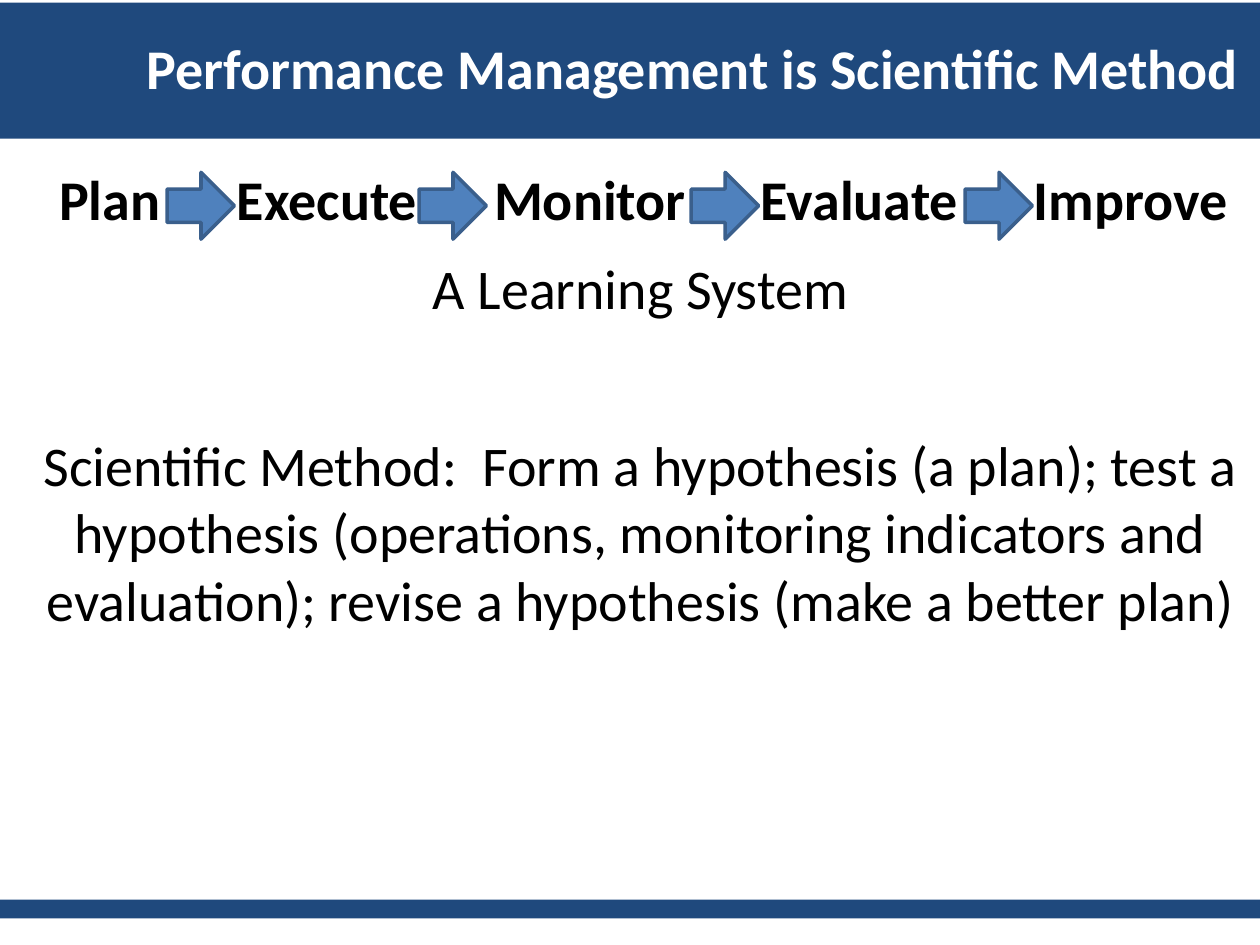
"""Build the slide that sets performance management beside the scientific method."""
from lxml.etree import SubElement
from pptx import Presentation
from pptx.dml.color import RGBColor
from pptx.enum.shapes import MSO_SHAPE
from pptx.enum.text import MSO_ANCHOR, PP_ALIGN
from pptx.oxml.ns import qn
from pptx.util import Pt

NAVY = RGBColor(0x1F, 0x49, 0x7D)
BLUE = RGBColor(0x4F, 0x81, 0xBD)
EDGE = RGBColor(0x3A, 0x5F, 0x8C)
WHITE = RGBColor(0xFF, 0xFF, 0xFF)
BLACK = RGBColor(0, 0, 0)


def style(para, color, bold):
    for run in para.runs:
        font = run.font
        font.name, font.size, font.bold = "Calibri", Pt(32), bold
        font.color.rgb = color


def draw(kind, left, top, width, height, fill):
    shape = slide.shapes.add_shape(kind, Pt(left), Pt(top), Pt(width), Pt(height))
    shape.shadow.inherit = False
    shape.fill.solid()
    shape.fill.fore_color.rgb = fill
    shape.line.fill.background()
    return shape


deck = Presentation()
deck.slide_width, deck.slide_height = Pt(720), Pt(540)
slide = deck.slides.add_slide(deck.slide_layouts[5])

title = slide.shapes.title
title.left, title.top, title.width, title.height = Pt(66), Pt(-0.72), Pt(660), Pt(77.76)
title.text_frame.text = "Performance Management is Scientific Method"
title.text_frame.vertical_anchor = MSO_ANCHOR.MIDDLE
head = title.text_frame.paragraphs[0]
head.alignment = PP_ALIGN.CENTER
style(head, WHITE, True)

band = draw(MSO_SHAPE.RECTANGLE, 0, 1.44, 720, 77.76, NAVY)
title._element.addprevious(band._element)
draw(MSO_SHAPE.RECTANGLE, 0, 514, 720, 10.8, NAVY)

for left in (95.5, 239.5, 395, 551.5):
    arrow = draw(MSO_SHAPE.RIGHT_ARROW, left, 98.5, 38.5, 38.2, BLUE)
    arrow.line.color.rgb = EDGE
    arrow.line.width = Pt(2)

body = slide.shapes.add_textbox(Pt(12.24), Pt(90.72), Pt(707.76), Pt(424))
frame = body.text_frame
frame.word_wrap = True
steps = {"Plan": 14.5, "Execute": 116, "Monitor": 263, "Evaluate": 415.5, "Improve": 571.5}
lines = [
    ("".join("\t" + step for step in steps), PP_ALIGN.LEFT, 6, True),
    ("A Learning System", PP_ALIGN.CENTER, 6, False),
    ("Scientific Method:  Form a hypothesis (a plan); test a hypothesis "
     "(operations, monitoring indicators and evaluation); revise a hypothesis "
     "(make a better plan)", PP_ALIGN.CENTER, 57, False),
]
frame.text = "\n".join(line[0] for line in lines)
for para, (_, align, before, bold) in zip(frame.paragraphs, lines):
    para.alignment = align
    para.space_before, para.space_after = Pt(before), Pt(6)
    style(para, BLACK, bold)

tabs = SubElement(frame.paragraphs[0]._p.get_or_add_pPr(), qn("a:tabLst"))
for stop in steps.values():
    SubElement(tabs, qn("a:tab"), pos=str(Pt(stop)), algn="l")

deck.save("out.pptx")
